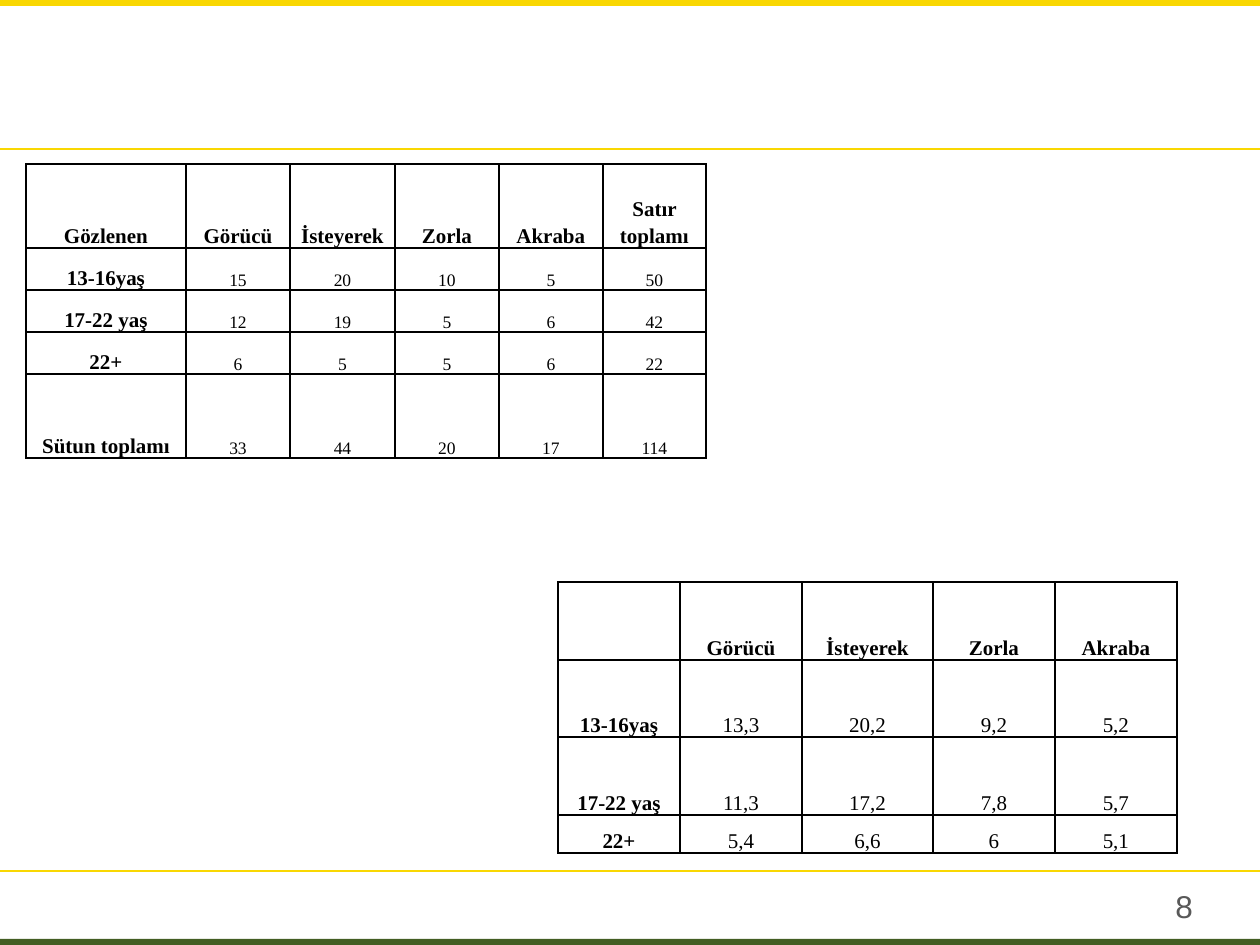
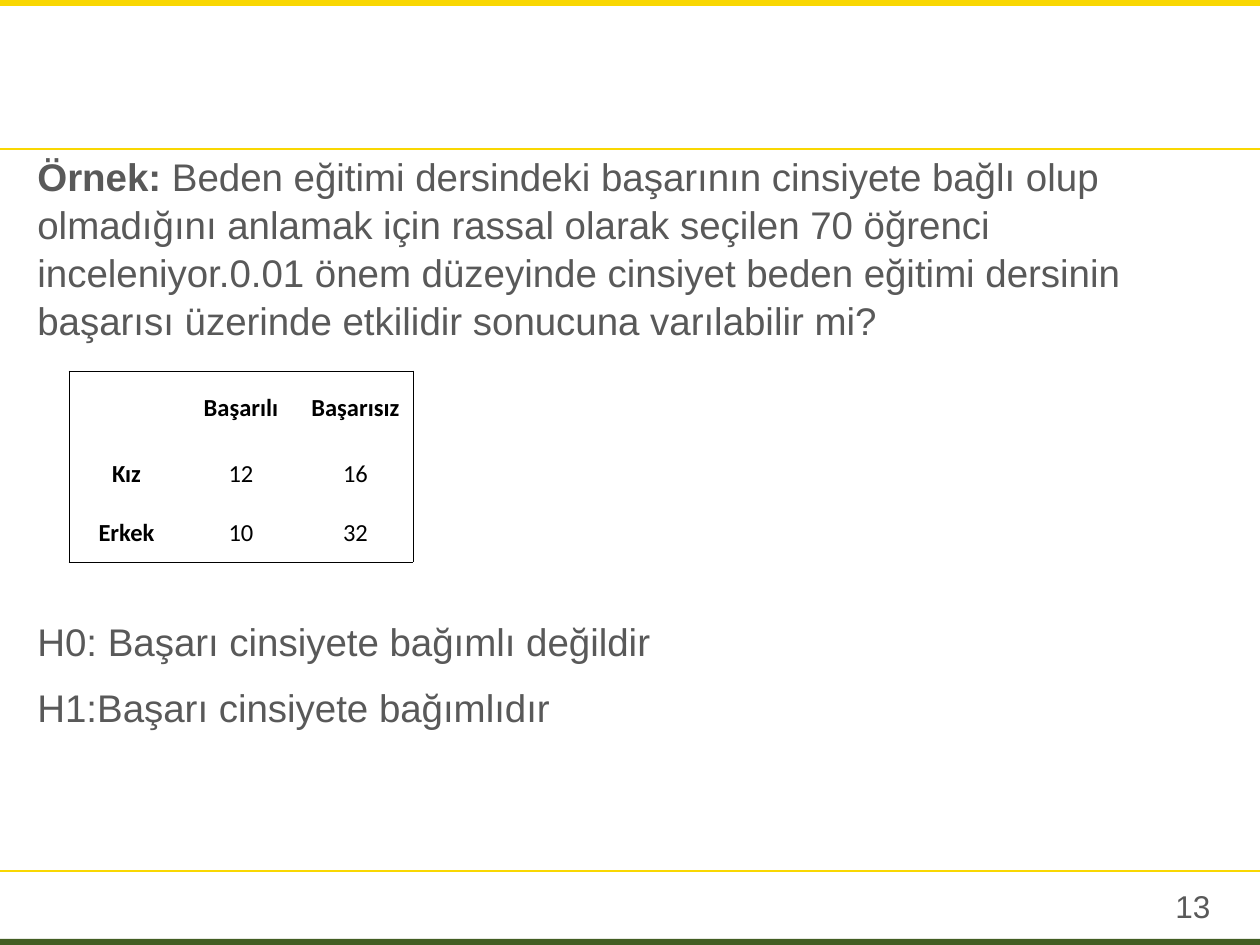
from lxml import etree
from pptx import Presentation
from pptx import util as u
from pptx.dml.color import RGBColor
from pptx.enum import shapes, text
from pptx.oxml import ns

PX = 914400 / 126
WIDTH, HEIGHT = 1260, 945
BAND = 6
RULES_Y = (149, 871)
COLOURS = {"yellow": "F9D702", "green": "435E23", "grey": "595959",
           "black": "000000", "white": "FFFFFF"}

SERIF_TABLE = {
    "font": "Times New Roman", "head_size": 12, "value_size": 12, "spacing": 1.15,
    "border": 1, "grid": True, "fill": None,
    "cell": {"vertical_anchor": text.MSO_ANCHOR.BOTTOM, "margin_left": u.Inches(0.05),
             "margin_right": u.Inches(0.05), "margin_top": 0, "margin_bottom": 0},
}
OBSERVED_TABLE = {**SERIF_TABLE, "value_size": 10, "fill": "white"}
FRAMED_TABLE = {
    "font": "Calibri", "head_size": 14, "value_size": 14, "spacing": 1.0,
    "border": 0.5, "grid": False, "fill": None,
    "cell": {"vertical_anchor": text.MSO_ANCHOR.MIDDLE, "margin_left": u.Inches(0.01),
             "margin_right": u.Inches(0.01), "margin_top": u.Inches(0.01),
             "margin_bottom": 0},
}

OBSERVED = [
    ["Gözlenen", "Görücü", "İsteyerek", "Zorla", "Akraba", "Satır toplamı"],
    ["13-16yaş", "15", "20", "10", "5", "50"],
    ["17-22 yaş", "12", "19", "5", "6", "42"],
    ["22+", "6", "5", "5", "6", "22"],
    ["Sütun toplamı", "33", "44", "20", "17", "114"],
]
EXPECTED = [
    ["", "Görücü", "İsteyerek", "Zorla", "Akraba"],
    ["13-16yaş", "13,3", "20,2", "9,2", "5,2"],
    ["17-22 yaş", "11,3", "17,2", "7,8", "5,7"],
    ["22+", "5,4", "6,6", "6", "5,1"],
]
SUCCESS = [
    ["", "Başarılı", "Başarısız"],
    ["Kız", "12", "16"],
    ["Erkek", "10", "32"],
]
QUESTION = ("Beden eğitimi dersindeki başarının cinsiyete bağlı olup olmadığını anlamak "
            "için rassal olarak seçilen 70 öğrenci inceleniyor.0.01 önem düzeyinde "
            "cinsiyet beden eğitimi dersinin başarısı üzerinde etkilidir sonucuna "
            "varılabilir mi?")


def px(*lengths):
    return [u.Emu(round(length * PX)) for length in lengths]


def rgb(colour):
    return RGBColor.from_string(COLOURS[colour])


def set_all(target, values):
    for name, value in values.items():
        setattr(target, name, value)


def add_run(paragraph, words, size, font="Arial", colour="grey", bold=False):
    run = paragraph.add_run()
    run.text = words
    set_all(run.font, {"name": font, "size": u.Pt(size), "bold": bold})
    run.font.color.rgb = rgb(colour)


def add_band(slide, top, colour):
    band = slide.shapes.add_shape(shapes.MSO_SHAPE.RECTANGLE, *px(0, top, WIDTH, BAND))
    band.shadow.inherit = False
    band.fill.solid()
    band.fill.fore_color.rgb = rgb(colour)
    band.line.fill.background()


def add_rule(slide, y):
    rule = slide.shapes.add_connector(shapes.MSO_CONNECTOR.STRAIGHT, *px(0, y, WIDTH, y))
    rule.line.color.rgb = rgb("yellow")
    rule.line.width = u.Pt(1.5)
    etree.SubElement(rule._element.spPr, ns.qn("a:effectLst"))


def add_text_frame(slide, *box):
    frame = slide.shapes.add_textbox(*px(*box)).text_frame
    frame.word_wrap = True
    return frame


def add_framed_slide(deck, number):
    """Add a slide with the shared bands, rules and page number."""
    slide = deck.slides.add_slide(deck.slide_layouts[6])
    add_band(slide, 0, "yellow")
    add_band(slide, HEIGHT - BAND, "green")
    for y in RULES_Y:
        add_rule(slide, y)
    page = add_text_frame(slide, 1163, 881, 97, 50)
    add_run(page.paragraphs[0], number, 18)
    return slide


def set_borders(cell, sides, width):
    """Draw the named sides of a cell and clear the others."""
    properties = cell._tc.get_or_add_tcPr()
    for index, side in enumerate("LRTB"):
        line = etree.Element(ns.qn(f"a:ln{side}"), w=str(u.Pt(width)))
        if side in sides:
            fill = etree.SubElement(line, ns.qn("a:solidFill"))
            etree.SubElement(fill, ns.qn("a:srgbClr"), val=COLOURS["black"])
        else:
            etree.SubElement(line, ns.qn("a:noFill"))
        properties.insert(index, line)


def outer_sides(row, column, rows, columns):
    edges = {"L": column == 0, "R": column == columns - 1,
             "T": row == 0, "B": row == rows - 1}
    return [side for side, on_edge in edges.items() if on_edge]


def add_table(slide, left, top, widths, heights, values, style):
    size = len(heights), len(widths)
    table = slide.shapes.add_table(
        *size, *px(left, top, sum(widths), sum(heights))).table
    set_all(table, {"first_row": False, "horz_banding": False})
    for column, width in zip(table.columns, px(*widths)):
        column.width = width
    for row, height in zip(table.rows, px(*heights)):
        row.height = height

    for r, entries in enumerate(values):
        for c, entry in enumerate(entries):
            cell = table.cell(r, c)
            set_all(cell, style["cell"])
            if style["fill"]:
                cell.fill.solid()
                cell.fill.fore_color.rgb = rgb(style["fill"])
            else:
                cell.fill.background()
            set_borders(cell, "LRTB" if style["grid"] else outer_sides(r, c, *size),
                        style["border"])
            if entry:
                heading = r == 0 or c == 0
                paragraph = cell.text_frame.paragraphs[0]
                set_all(paragraph, {"alignment": text.PP_ALIGN.CENTER,
                                    "line_spacing": style["spacing"]})
                add_run(paragraph, entry,
                        style["head_size" if heading else "value_size"],
                        style["font"], "black", heading)


def add_example(slide):
    """Write the question, then the hypotheses below the room for the table."""
    frame = add_text_frame(slide, 25, 145, 1213, 723)
    content = [
        (10, [("Örnek: ", True), (QUESTION, False)]),
        (156, [("H0: Başarı cinsiyete bağımlı değildir", False)]),
        (10, [("H1:Başarı cinsiyete bağımlıdır", False)]),
    ]
    for index, (gap, runs) in enumerate(content):
        paragraph = frame.add_paragraph() if index else frame.paragraphs[0]
        set_all(paragraph, {"space_before": u.Pt(gap), "line_spacing": 1.04})
        for words, bold in runs:
            add_run(paragraph, words, 22, bold=bold)


def main():
    deck = Presentation()
    deck.slide_width, deck.slide_height = px(WIDTH, HEIGHT)

    marriages = add_framed_slide(deck, "8")
    add_table(marriages, 26, 164, [160, 104, 105, 104, 104, 103],
              [84, 42, 42, 42, 84], OBSERVED, OBSERVED_TABLE)
    add_table(marriages, 558, 582, [122, 122, 131, 122, 122],
              [78, 77, 78, 38], EXPECTED, SERIF_TABLE)

    example = add_framed_slide(deck, "13")
    add_example(example)
    add_table(example, 69, 371, [115, 114, 115], [73, 59, 59], SUCCESS, FRAMED_TABLE)

    deck.save("out.pptx")


if __name__ == "__main__":
    main()
